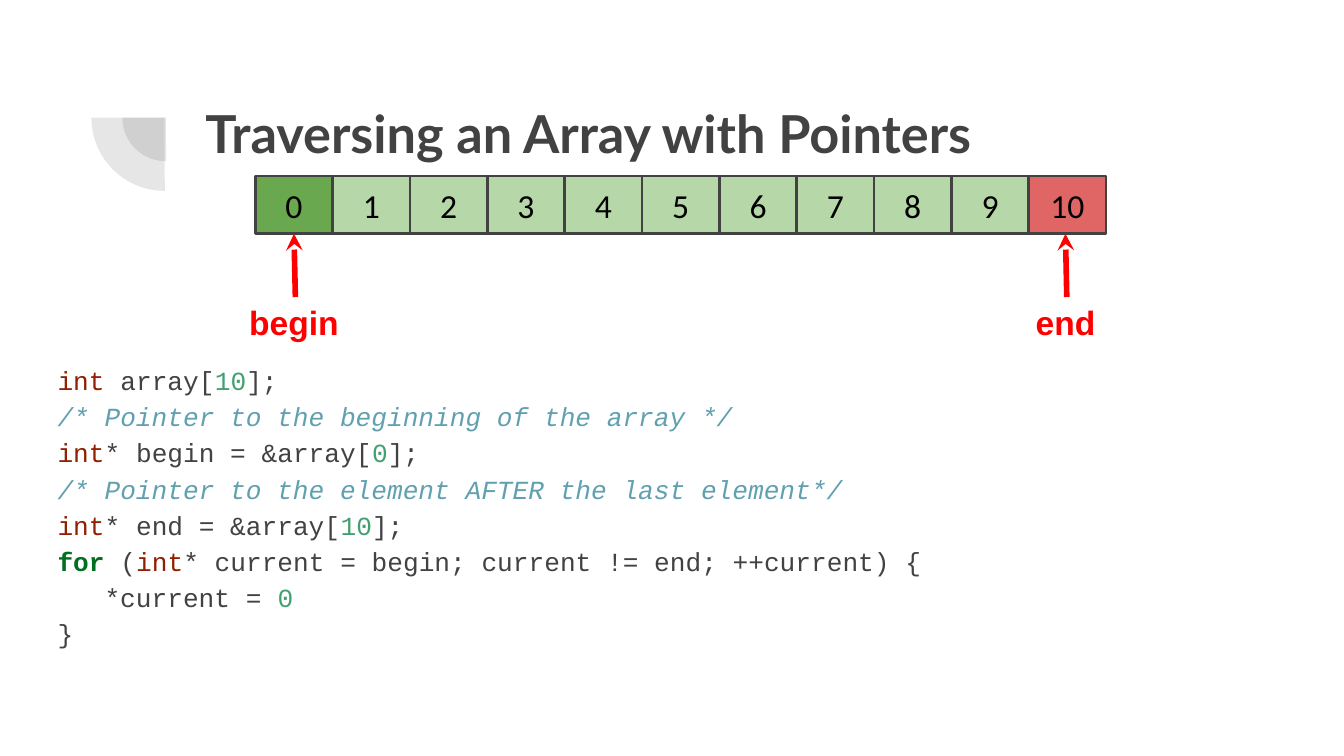
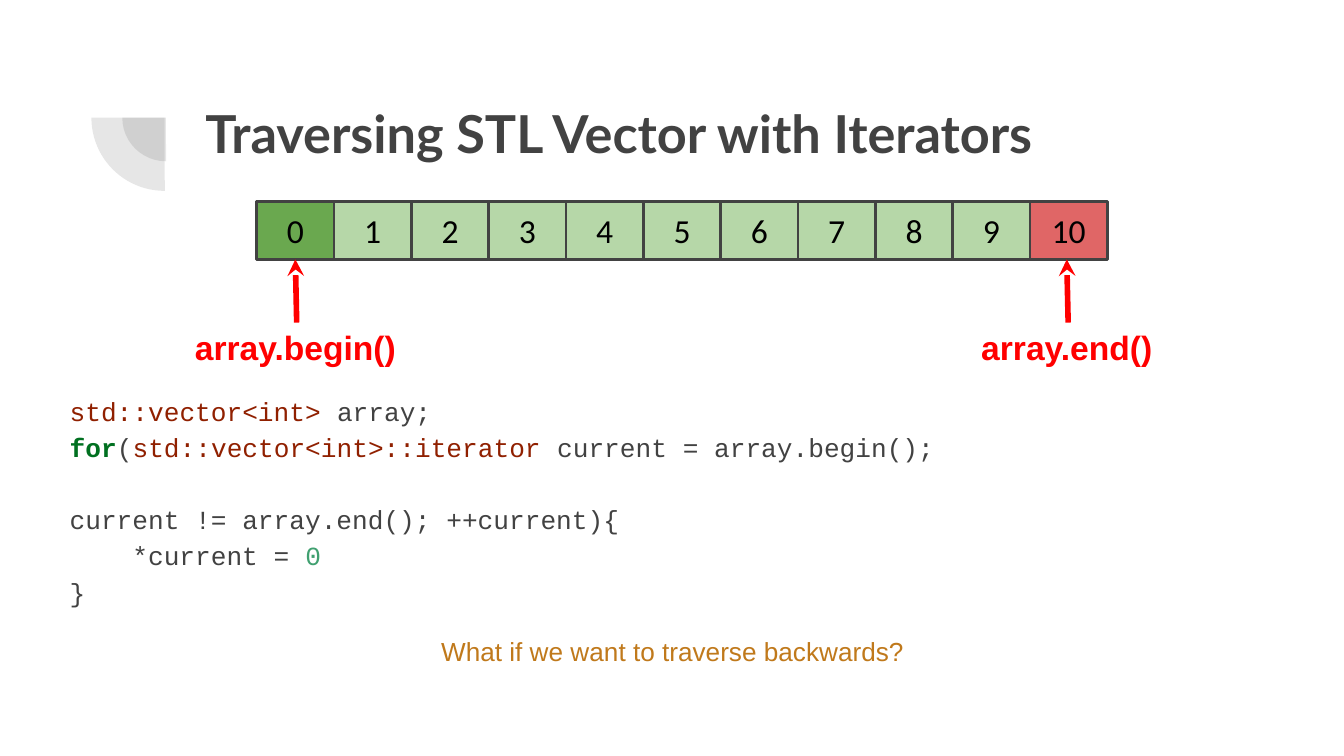
from lxml.etree import SubElement as Sub
from pptx import Presentation
from pptx.dml.color import RGBColor
from pptx.enum.shapes import MSO_CONNECTOR as Link, MSO_SHAPE as Kind
from pptx.enum.text import MSO_ANCHOR as Anchor, PP_ALIGN as Align
from pptx.oxml.ns import qn
from pptx.util import Inches, Pt

WIDE = 10
HIGH = WIDE * 9 / 16
INK, BLACK, RED, GOLD = "424242", "000000", "FF0000", "C0791B"
FIRST, INNER, PAST = "6AA84F", "B6D7A8", "E06666"
CELLS, PITCH, TALL = 11, 6.33 / 11, 0.43
REACH, LABEL, SPAN = 0.9, (1.72, 0.37), 5.74
MONO, SIZE, LEAD = "Courier New", 14, 1.15
CHAR = 0.6 * SIZE / 72
LINE = 19.3
PIES = [(0.91, 0.55, 0.65), (0.68, 0.33, 1.09)]

STYLES = {
    "plain": (INK, False, False),
    "type": ("902000", False, False),
    "num": ("40A070", False, False),
    "note": ("60A0B0", False, True),
    "key": ("007020", True, False),
}

SLIDES = [
    {
        "title": "Traversing an Array with Pointers",
        "row": (1.9, 1.31),
        "marks": ("begin", "end"),
        "box": (0.33, 2.58, 9.67, 2.84),
        "code": [
            (0, 0, [("type", "int"), ("plain", " array["), ("num", "10"), ("plain", "];")]),
            (0, 0, [("note", "/* Pointer to the beginning of the array */")]),
            (0, 0, [("type", "int"), ("plain", "* begin = &array["), ("num", "0"), ("plain", "];")]),
            (0, 0, [("note", "/* Pointer to the element AFTER the last element*/")]),
            (0, 0, [("type", "int"), ("plain", "* end = &array["), ("num", "10"), ("plain", "];")]),
            (0, 0, [("key", "for"), ("plain", " ("), ("type", "int"),
                    ("plain", "* current = begin; current != end; ++current) {")]),
            (3, 0, [("plain", "*current = "), ("num", "0")]),
            (0, 0, [("plain", "}")]),
        ],
        "ask": None,
    },
    {
        "title": "Traversing STL Vector with Iterators",
        "row": (1.91, 1.5),
        "marks": ("array.begin()", "array.end()"),
        "box": (0.42, 2.81, 9.32, 1.81),
        "code": [
            (0, 0, [("type", "std::vector<int>"), ("plain", " array;")]),
            (0, 0, [("key", "for"), ("plain", "("), ("type", "std::vector<int>::iterator"),
                    ("plain", " current = array.begin();")]),
            (0, 1, [("plain", "current != array.end(); ++current){")]),
            (4, 0, [("plain", "*current = "), ("num", "0")]),
            (0, 0, [("plain", "}")]),
        ],
        "ask": "What if we want to traverse backwards?",
    },
]


def tint(color):
    return RGBColor.from_string(color)


def inch(*sizes):
    return [Inches(size) for size in sizes]


def style(run, face, size, color, bold=False, slant=False):
    font = run.font
    font.name, font.size, font.bold, font.italic = face, Pt(size), bold, slant
    font.color.rgb = tint(color)


def setup(frame, anchor):
    frame.word_wrap = True
    frame.vertical_anchor = anchor
    frame.margin_left = frame.margin_right = Inches(0.1)
    frame.margin_top = frame.margin_bottom = Inches(0.1)


def write(shape, text, face, size, color, bold=False, align=Align.CENTER, anchor=Anchor.MIDDLE):
    frame = shape.text_frame
    setup(frame, anchor)
    frame.text = text
    para = frame.paragraphs[0]
    para.alignment = align
    style(para.runs[0], face, size, color, bold)


def block(slide, kind, box, color):
    shape = slide.shapes.add_shape(kind, *inch(*box))
    shape.shadow.inherit = False
    shape.fill.solid()
    shape.fill.fore_color.rgb = tint(color)
    return shape


def emblem(slide):
    for left, top, size in PIES:
        pie = block(slide, Kind.PIE, (left, top, size, size), INK)
        pie.adjustments[0], pie.adjustments[1] = 107.93, 162
        pie.rotation = 270
        pie.line.fill.background()
        color = pie.fill._xPr.find(".//" + qn("a:srgbClr"))
        Sub(color, qn("a:alpha"), val="13000")


def arrow(slide, start, end):
    link = slide.shapes.add_connector(Link.STRAIGHT, *inch(*start, *end))
    link.line.color.rgb = tint(RED)
    link.line.width = Pt(3)
    Sub(link.line._get_or_add_ln(), qn("a:tailEnd"), type="stealth")
    Sub(link._element.spPr, qn("a:effectLst"))


def cells(slide, left, top):
    for i in range(CELLS):
        color = {0: FIRST, CELLS - 1: PAST}.get(i, INNER)
        cell = block(slide, Kind.RECTANGLE, (left + i * PITCH, top, PITCH, TALL), color)
        cell.line.color.rgb = tint(INK)
        cell.line.width = Pt(1.5)
        write(cell, str(i), "Calibri", 18, BLACK)


def marks(slide, left, top, names):
    wide, tall = LABEL
    for i, name in enumerate(names):
        mid, base = left + PITCH / 2 + i * SPAN, top + REACH
        arrow(slide, (mid + 0.01, base), (mid, top + TALL))
        tag = slide.shapes.add_textbox(*inch(mid - wide / 2, base, wide, tall))
        write(tag, name, "Arial", 18, RED, True)


def listing(slide, box, lines):
    frame = slide.shapes.add_textbox(*inch(*box)).text_frame
    setup(frame, Anchor.TOP)
    for i, (indent, gap, parts) in enumerate(lines):
        para = frame.add_paragraph() if i else frame.paragraphs[0]
        para.line_spacing = LEAD
        para.space_before = Pt(gap * LINE)
        para._p.get_or_add_pPr().set("marL", str(Inches(indent * CHAR)))
        for kind, text in parts:
            run = para.add_run()
            run.text = text
            style(run, MONO, SIZE, *STYLES[kind])


def build(deck, data):
    slide = deck.slides.add_slide(deck.slide_layouts[6])
    emblem(slide)
    head = slide.shapes.add_textbox(*inch(1.43, 0.65, 7.69, 1.09))
    write(head, data["title"], "Lato", 28, INK, True, Align.LEFT, Anchor.TOP)
    listing(slide, data["box"], data["code"])
    cells(slide, *data["row"])
    marks(slide, *data["row"], data["marks"])
    if data["ask"]:
        ask = slide.shapes.add_textbox(*inch(1.73, 4.63, 6.55, 0.37))
        write(ask, data["ask"], "Arial", SIZE, GOLD, anchor=Anchor.TOP)


def main():
    deck = Presentation()
    deck.slide_width, deck.slide_height = inch(WIDE, HIGH)
    for data in SLIDES:
        build(deck, data)
    deck.save("out.pptx")


if __name__ == "__main__":
    main()
